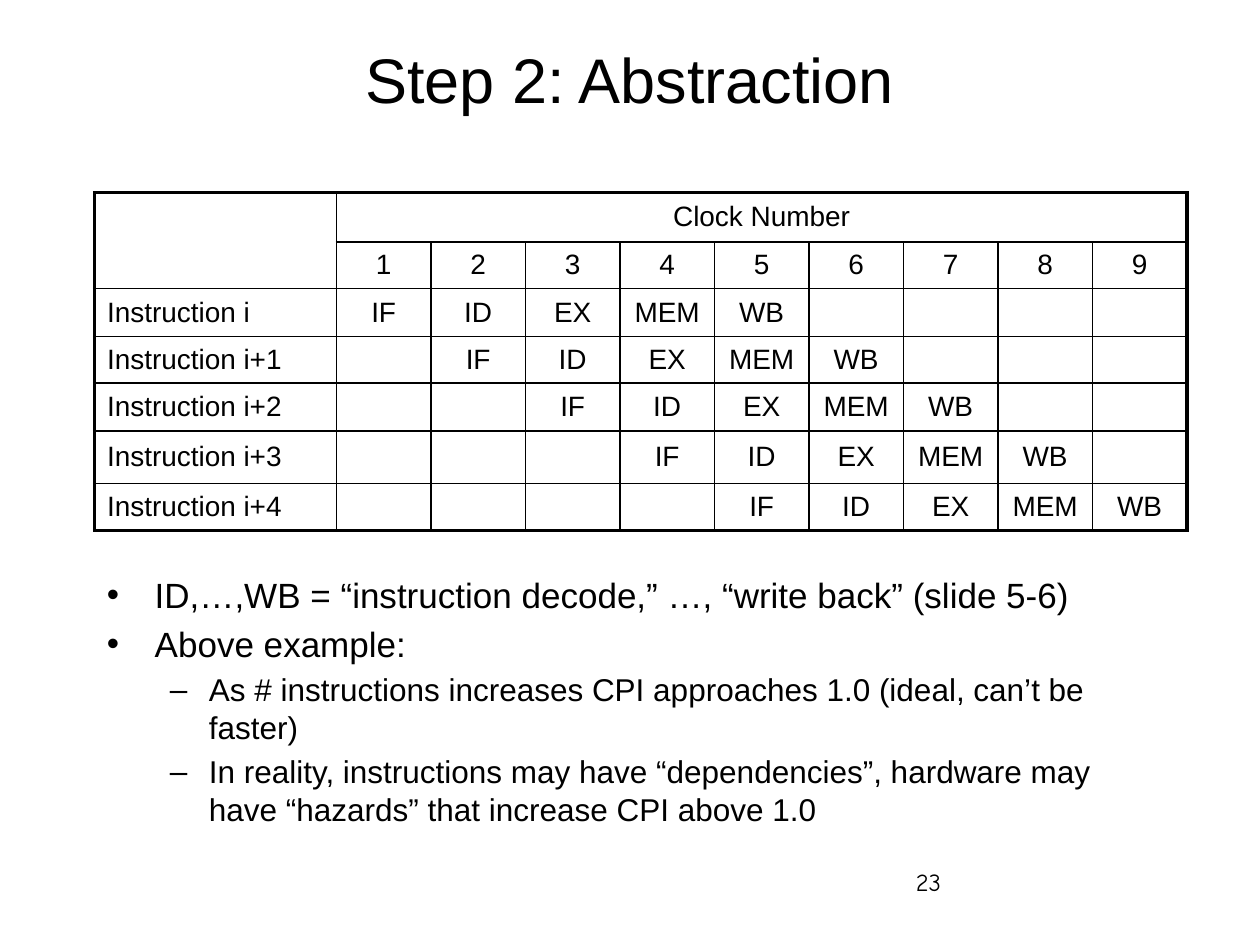
from dataclasses import dataclass

from lxml import etree
from pptx import Presentation
from pptx import util as u
from pptx.dml.color import RGBColor
from pptx.enum import text as t
from pptx.oxml import ns


@dataclass(frozen=True)
class Theme:
    ink: str = "000000"
    face: str = "Arial"
    hand: str = "Comic Neue"
    head: int = 36
    body: tuple = (20, 18)
    grid: int = 16
    foot: int = 14
    thin: float = 1
    thick: float = 2.25


LOOK = Theme()
UNIT = 0.25  # the slide is a grid of 40 columns by 30 rows
COLS, ROWS = 40, 30
MARKS = ("•", "–")
DENTS = ((0.38, -0.38), (0.81, -0.31))
STAGES = ("IF", "ID", "EX", "MEM", "WB")
CLOCKS = 9
POINTS = (
    (0, "ID,…,WB = “instruction decode,” …, “write back” (slide 5-6)"),
    (0, "Above example:"),
    (1, "As # instructions increases CPI approaches 1.0 (ideal, can’t be faster)"),
    (1, "In reality, instructions may have “dependencies”, "
        "hardware may have “hazards” that increase CPI above 1.0"),
)


def span(n):
    return u.Inches(n * UNIT)


def apply(obj, **vals):
    for key, val in vals.items():
        setattr(obj, key, val)


def write(para, words, size, face=LOOK.face):
    run = para.add_run()
    run.text = words
    apply(run.font, size=u.Pt(size), name=face, bold=False)
    run.font.color.rgb = RGBColor.from_string(LOOK.ink)


def frame(slide, box, anchor=t.MSO_ANCHOR.TOP):
    area = slide.shapes.add_textbox(*map(span, box)).text_frame
    apply(area, word_wrap=True, vertical_anchor=anchor)
    return area


def title(slide, box):
    para = frame(slide, box, t.MSO_ANCHOR.MIDDLE).paragraphs[0]
    para.alignment = t.PP_ALIGN.CENTER
    write(para, "Step 2: Abstraction", LOOK.head)


def border(cell, widths):
    props = cell._tc.get_or_add_tcPr()
    for side, width in widths.items():
        line = etree.SubElement(props, ns.qn(f"a:ln{side}"), w=str(u.Pt(width)))
        fill = etree.SubElement(line, ns.qn("a:solidFill"))
        etree.SubElement(fill, ns.qn("a:srgbClr"), val=LOOK.ink)


def label(row, col):
    """Text of one cell: headings, row names, and stages along the diagonal."""
    if row == 0:
        return "Clock Number" if col == 1 else ""
    if row == 1:
        return str(col) if col else ""
    step = row - 2
    if col == 0:
        return f"Instruction i+{step}" if step else "Instruction i"
    stage = col - 1 - step
    return STAGES[stage] if 0 <= stage < len(STAGES) else ""


def style(cell, row, col, last):
    # Outer edges are thick, inner ones thin
    edges = {
        "L": col == 0,
        "R": col + cell.span_width > last[1],
        "T": row == 0,
        "B": row + cell.span_height > last[0],
    }
    border(cell, {k: LOOK.thick if v else LOOK.thin for k, v in edges.items()})
    cell.fill.background()
    cell.vertical_anchor = t.MSO_ANCHOR.MIDDLE
    para = cell.text_frame.paragraphs[0]
    para.alignment = t.PP_ALIGN.CENTER if col else t.PP_ALIGN.LEFT
    words = label(row, col)
    if words:
        write(para, words, LOOK.grid)
    else:  # keep empty cells as low as filled ones
        etree.SubElement(para._p, ns.qn("a:endParaRPr"), sz=str(LOOK.grid * 100))


def pipeline(slide, box):
    highs = (1.56, 1.48, 1.52, 1.48, 1.52, 1.68, 1.48)
    step = 3
    wides = [box[2] - CLOCKS * step] + [step] * CLOCKS
    table = slide.shapes.add_table(len(highs), len(wides), *map(span, box)).table
    apply(table, first_row=False, horz_banding=False)
    for col, wide in zip(table.columns, wides):
        col.width = span(wide)
    for row, high in zip(table.rows, highs):
        row.height = span(high)

    # Headings: blank corner and one wide heading
    table.cell(0, 0).merge(table.cell(1, 0))
    table.cell(0, 1).merge(table.cell(0, CLOCKS))

    last = (len(highs) - 1, CLOCKS)
    for row in range(len(highs)):
        for col in range(len(wides)):
            style(table.cell(row, col), row, col, last)


def bullets(slide, box):
    area = frame(slide, box)
    for i, (level, words) in enumerate(POINTS):
        para = area.add_paragraph() if i else area.paragraphs[0]
        size = LOOK.body[level]
        para.level = level
        if i:
            para.space_before = u.Pt(size * 0.2)
        props = para._p.get_or_add_pPr()
        left, hang = DENTS[level]
        props.set("marL", str(u.Inches(left)))
        props.set("indent", str(u.Inches(hang)))
        etree.SubElement(props, ns.qn("a:buFont"), typeface=LOOK.face)
        etree.SubElement(props, ns.qn("a:buChar"), char=MARKS[level])
        write(para, words, size)


def number(slide, box):
    write(frame(slide, box).paragraphs[0], "23", LOOK.foot, LOOK.hand)


def main():
    deck = Presentation()
    apply(deck, slide_width=span(COLS), slide_height=span(ROWS))
    slide = deck.slides.add_slide(deck.slide_layouts[6])
    # Boxes: left, top, width, height in grid units
    title(slide, (3, 0, 34, 5))
    bullets(slide, (3, 18, 34, 8.68))
    pipeline(slide, (3, 6.12, 34.68, 10.72))
    number(slide, (28.68, 27.32, 8.32, 2))
    deck.save("out.pptx")


if __name__ == "__main__":
    main()
